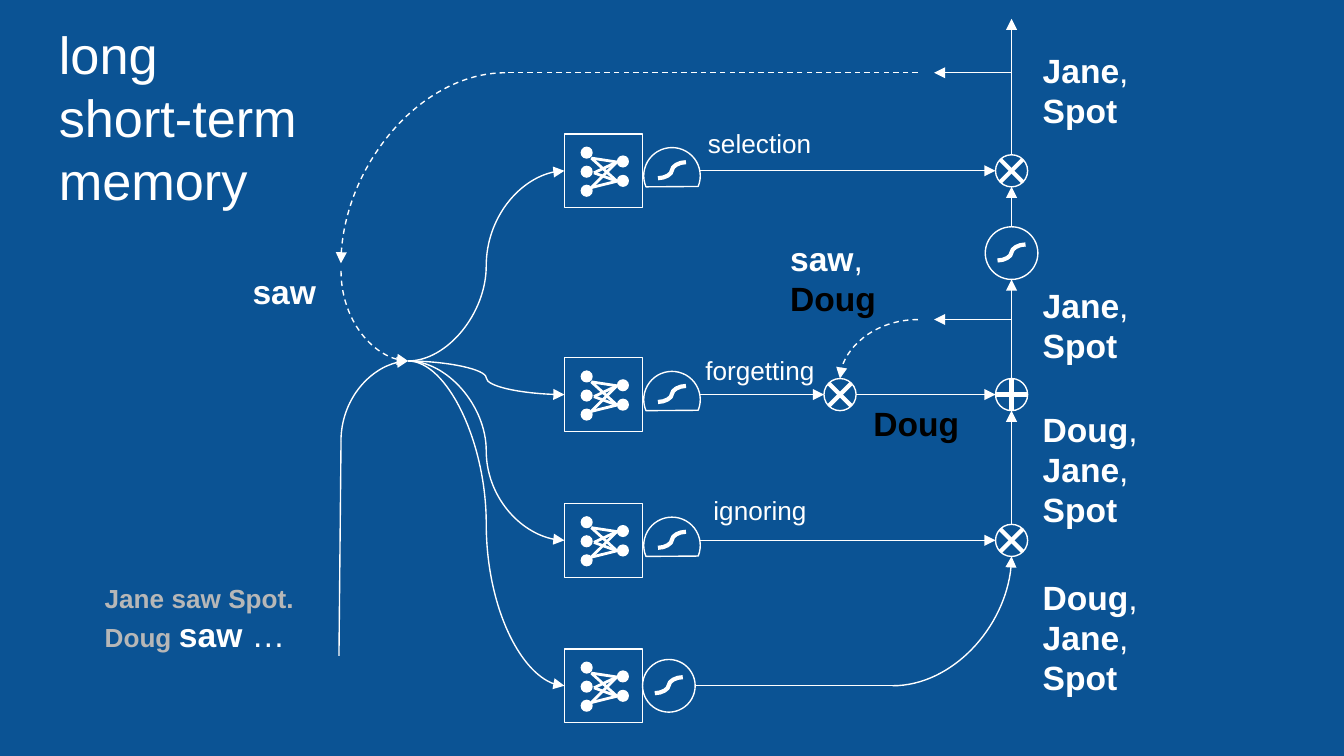
from lxml import etree
from pptx import Presentation
from pptx.dml.color import RGBColor
from pptx.enum.dml import MSO_LINE
from pptx.enum.shapes import MSO_CONNECTOR, MSO_SHAPE
from pptx.oxml.ns import qn
from pptx.util import Pt

STRAIGHT, CURVE = MSO_CONNECTOR.STRAIGHT, MSO_CONNECTOR.CURVE
OVAL, BOX, CHORD = MSO_SHAPE.OVAL, MSO_SHAPE.RECTANGLE, MSO_SHAPE.CHORD
DASH = MSO_LINE.DASH

THEME = {
    "back": RGBColor(0x0B, 0x53, 0x94),
    "ink": RGBColor(0xFF, 0xFF, 0xFF),
    "dark": RGBColor(0, 0, 0),
    "faded": RGBColor(0xB7, 0xB7, 0xB7),
    "font": "Arial", "title": 28, "word": 18, "label": 14,
    "thin": 0.75, "link": 1.5, "thick": 2.25,
}


def style(size, color, bold):
    return {"size": Pt(THEME[size]), "bold": bold, "name": THEME["font"]}, THEME[color]


STYLES = {
    "title": style("title", "ink", False),
    "label": style("label", "ink", False),
    "past": style("label", "faded", True),
    "word": style("word", "ink", True),
    "plain": style("word", "ink", False),
    "known": style("word", "dark", True),
}


def word_list(*words):
    """Lines of bold words, each but the last followed by a plain comma."""
    return [[(word, "word"), (",", "plain")] for word in words[:-1]] + [[(words[-1], "word")]]


# Content: left, top, width, height, lines of (text, style)
TEXTS = [
    (24.5, 5, 165.6, 199.4, [[(line, "title")] for line in ("long", "short-term", "memory")]),
    (372.2, 61.2, 72, 31.7, [[("selection", "label")]]),
    (370.8, 182.9, 74.9, 31.7, [[("forgetting", "label")]]),
    (375.1, 257.8, 66.2, 31.7, [[("ignoring", "label")]]),
    (49, 304.6, 169.9, 56.2, [[("Jane saw Spot.", "past")],
                              [("Doug ", "past"), ("saw", "word"), (" …", "plain")]]),
    (128.2, 138.2, 63.4, 39.6, [[("saw", "word")]]),
    (416.2, 120.2, 169.9, 56.2, [[("saw", "word"), (",", "plain")], [("Doug", "known")]]),
    (460.8, 208.8, 105.8, 43.2, [[("Doug", "known")]]),
    (551.5, 19.4, 169.9, 56.2, word_list("Jane", "Spot")),
    (551.5, 145.4, 169.9, 56.2, word_list("Jane", "Spot")),
    (551.5, 211.7, 169.9, 56.2, word_list("Doug", "Jane", "Spot")),
    (551.5, 301.7, 169.9, 56.2, word_list("Doug", "Jane", "Spot")),
]

# Diagram grid: row centres and main columns
SELECT, FORGET, IGNORE, PREDICT = ROWS = (91.5, 211.4, 289.5, 367.4)
TRUNK, FORGET_X, INPUT_X = 541.9, 450, 182.7
HUB = (218.6, 193.4)
NET_LEFT, NET_WIDTH, NET_HEIGHT = 302.4, 42, 39.6
GATE_X, GATE_SIZE, GATE_END = 360, 30.3, 375.1
SQUASH_X, SQUASH_SIZE, SQUASH_Y = 358.3, 28.2, 135.6
RADIUS = 8.6
OUTPUT_Y, MEMORY_Y = 39, 171.2
BRANCH_END, LOOP_START = 500.4, 491.8
LOOP_BEND, LOOP_END, BEND_X = 270.7, 141.1, 478.2

# Network parts, measured from the row centre and the left side of its frame
DOTS = [(11.9, -9.7), (11.9, 0.5), (11.9, 10.7), (31.3, -5), (31.3, 5.4)]
DOT_SIZE = 6.5
LINK_STARTS = [(14.4, -6.8), (14.4, 9), (15.8, 1.1)]
LINK_ENDS = [(28.1, -4.7), (28.1, 5.6)]

deck = Presentation()
deck.slide_width, deck.slide_height = Pt(720), Pt(405)
page = deck.slides.add_slide(deck.slide_layouts[6])
page.background.fill.solid()
page.background.fill.fore_color.rgb = THEME["back"]


def draw_shape(home, preset, x, y, width, height, filled=False, turn=0):
    """Draw a shape centred on x, y."""
    shape = home.shapes.add_shape(preset, Pt(x - width / 2), Pt(y - height / 2), Pt(width), Pt(height))
    shape.shadow.inherit = False
    shape.rotation = turn
    if filled:
        shape.fill.solid()
        shape.fill.fore_color.rgb = THEME["ink"]
        shape.line.fill.background()
    else:
        shape.fill.background()
        shape.line.color.rgb = THEME["ink"]
        shape.line.width = Pt(THEME["thin"])


def draw_line(home, start, end, kind="straight", weight="thin", dash=False, arrow=False):
    """Kinds: straight, wave (S curve), bend (leaves sideways), rise (leaves upright)."""
    (x1, y1), (x2, y2) = start, end
    if kind == "rise":  # the same bend, laid out for a three-quarter turn
        mid_x, mid_y = (x1 + x2) / 2, (y1 + y2) / 2
        half_x, half_y = (x2 - x1) / 2, (y2 - y1) / 2
        x1, y1, x2, y2 = mid_x + half_y, mid_y - half_x, mid_x - half_y, mid_y + half_x
    preset = STRAIGHT if kind == "straight" else CURVE
    line = home.shapes.add_connector(preset, Pt(x1), Pt(y1), Pt(x2), Pt(y2))
    line.line.color.rgb = THEME["ink"]
    line.line.width = Pt(THEME[weight])
    if dash:
        line.line.dash_style = DASH
    properties = line._element.spPr
    if kind in ("bend", "rise"):
        properties.find(qn("a:prstGeom")).set("prst", "curvedConnector2")
    if kind == "rise":
        properties.find(qn("a:xfrm")).set("rot", str(270 * 60000))
    if arrow:
        etree.SubElement(properties.find(qn("a:ln")), qn("a:tailEnd"), type="triangle")
    etree.SubElement(properties, qn("a:effectLst"))


def draw_network(y):
    group = page.shapes.add_group_shape()
    for dot_x, dot_y in DOTS:
        draw_shape(group, OVAL, NET_LEFT + dot_x, y + dot_y, DOT_SIZE, DOT_SIZE, filled=True)
    for from_x, from_y in LINK_STARTS:
        for to_x, to_y in LINK_ENDS:
            draw_line(group, (NET_LEFT + from_x, y + from_y), (NET_LEFT + to_x, y + to_y), weight="link")
    draw_shape(group, BOX, NET_LEFT + NET_WIDTH / 2, y, NET_WIDTH, NET_HEIGHT)


def draw_squash(x, y, gate=False):
    group = page.shapes.add_group_shape()
    if gate:
        draw_shape(group, CHORD, x, y + 2.7, GATE_SIZE, GATE_SIZE, turn=112.1)
    else:
        draw_shape(group, OVAL, x, y, SQUASH_SIZE, SQUASH_SIZE)
    draw_line(group, (x - 7.5, y + 4), (x + 7.5, y - 4.6), "wave", "thick")


def draw_operator(x, y, strokes):
    group = page.shapes.add_group_shape()
    draw_shape(group, OVAL, x, y, 2 * RADIUS, 2 * RADIUS)
    for across, down in strokes:
        draw_line(group, (x - across, y - down), (x + across, y + down), weight="thick")


def write(left, top, width, height, lines):
    box = page.shapes.add_textbox(Pt(left), Pt(top), Pt(width), Pt(height))
    frame = box.text_frame
    frame.word_wrap = True
    for side in ("left", "top", "right", "bottom"):
        setattr(frame, "margin_" + side, Pt(7.2))
    for index, line in enumerate(lines):
        para = frame.add_paragraph() if index else frame.paragraphs[0]
        for text, look in line:
            span = para.add_run()
            span.text = text
            values, color = STYLES[look]
            for name, value in values.items():
                setattr(span.font, name, value)
            span.font.color.rgb = color


# Networks, their squashing functions and the curves that feed them
for row in ROWS:
    draw_network(row)
    gate = row != PREDICT
    draw_squash(GATE_X if gate else SQUASH_X, row, gate)
    draw_line(page, HUB, (NET_LEFT, row), "wave", arrow=True)
draw_squash(TRUNK, SQUASH_Y)

# Multiply and add operators
TIMES, PLUS = [(6, 6), (6, -6)], [(0, RADIUS), (RADIUS, 0)]
for x, y, strokes in [(TRUNK, SELECT, TIMES), (FORGET_X, FORGET, TIMES),
                      (TRUNK, FORGET, PLUS), (TRUNK, IGNORE, TIMES)]:
    draw_operator(x, y, strokes)

# Straight arrows along the rows, up the trunk and out to the branches
for left, right, y in [(GATE_END, TRUNK, SELECT), (GATE_END, FORGET_X, FORGET),
                       (FORGET_X + RADIUS, TRUNK, FORGET), (GATE_END, TRUNK, IGNORE)]:
    draw_line(page, (left, y), (right - RADIUS, y), arrow=True)
for bottom, top in [(IGNORE - RADIUS, FORGET + RADIUS),
                    (FORGET - RADIUS, SQUASH_Y + SQUASH_SIZE / 2),
                    (SQUASH_Y - SQUASH_SIZE / 2, SELECT + RADIUS),
                    (SELECT - RADIUS, 10.1)]:
    draw_line(page, (TRUNK, bottom), (TRUNK, top), arrow=True)
for y in (OUTPUT_Y, MEMORY_Y):
    draw_line(page, (TRUNK, y), (BRANCH_END, y), arrow=True)

# Prediction path, recurrent loops and new input
draw_line(page, (SQUASH_X + SQUASH_SIZE / 2, PREDICT), (BEND_X, PREDICT))
draw_line(page, (BEND_X, PREDICT), (TRUNK, IGNORE + RADIUS), "bend", arrow=True)
draw_line(page, (LOOP_START, MEMORY_Y), (FORGET_X, FORGET - RADIUS), "bend", dash=True, arrow=True)
draw_line(page, (LOOP_START, OUTPUT_Y), (LOOP_BEND, OUTPUT_Y), dash=True)
draw_line(page, (LOOP_BEND, OUTPUT_Y), (INPUT_X, LOOP_END), "bend", dash=True, arrow=True)
draw_line(page, (INPUT_X, 145.2), HUB, "rise", dash=True, arrow=True)
draw_line(page, (INPUT_X, 236.3), HUB, "rise", arrow=True)
draw_line(page, (INPUT_X, 236.3), (181.6, 351.4))

# Text
for text in TEXTS:
    write(*text)

deck.save("out.pptx")
